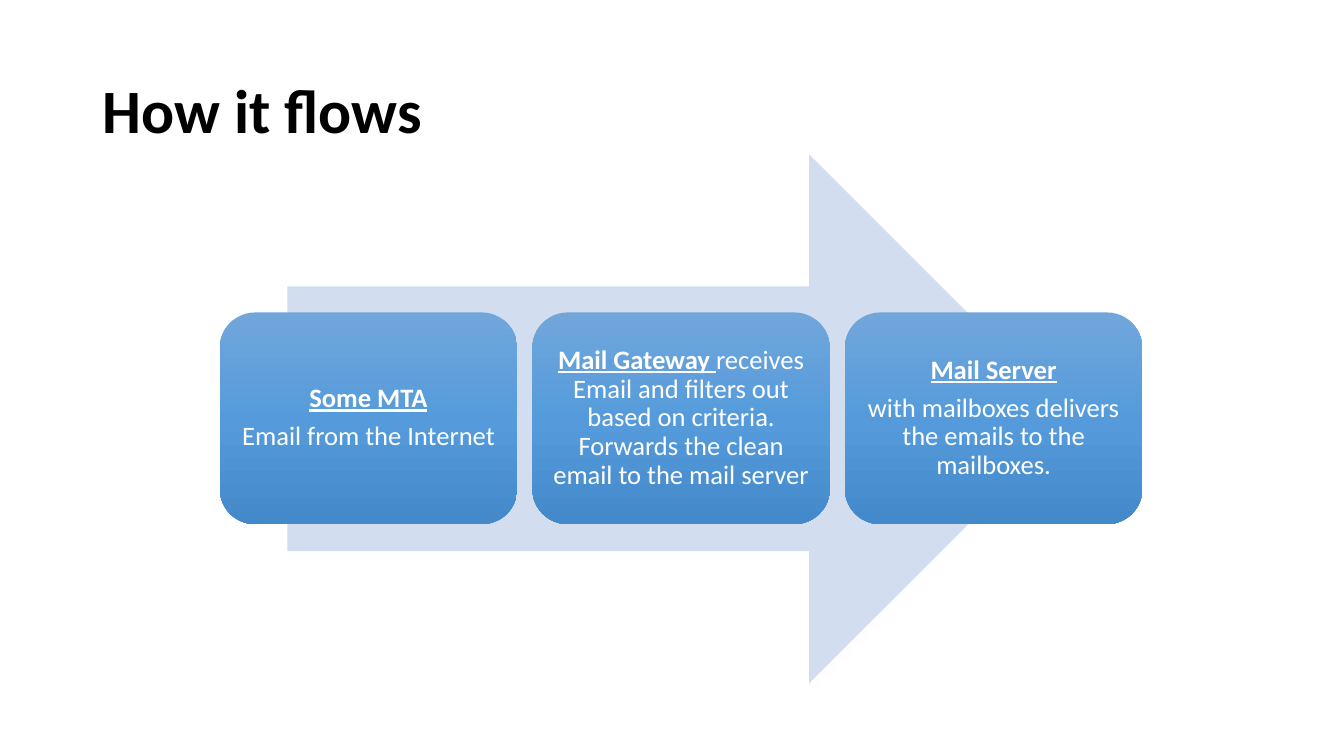
from copy import deepcopy
from pptx import Presentation
from pptx.dml.color import RGBColor
from pptx.enum.shapes import MSO_SHAPE
from pptx.enum.text import MSO_ANCHOR, PP_ALIGN
from pptx.oxml.ns import qn
from pptx.util import Inches, Pt

TITLE = "How it flows"
STAGES = [
    [[("Some MTA", True)], [("Email from the Internet", False)]],
    [[("Mail Gateway ", True),
      ("receives Email and filters out based on criteria. "
       "Forwards the clean email to the mail server", False)]],
    [[("Mail Server", True)],
     [("with mailboxes delivers the emails to the mailboxes.", False)]],
]

THEME = {
    "font": "Calibri",
    "title": {"size": Pt(44), "color": "000000"},
    "stage": {"size": Pt(19), "color": "FFFFFF"},
    "arrow": "D2DEEF",
    "gradient": [(0, "71A6DB"), (0.5, "559BDB"), (1, "448ACA")],
}
TITLE_BOX = (0.92, 0.4, 11.5, 1.45)
ARROW_BOX = (2.85, 1.53, 7.8, 5.25)
STAGE_LEFT, STAGE_TOP, STAGE_W, STAGE_H, GAP = 2.18, 3.1, 2.95, 2.1, 0.15
INSET = Inches(0.08)


def set_all(target, values):
    for name, value in values.items():
        setattr(target, name, value)


def add_run(p, text, style, bold, underline=False):
    r = p.add_run()
    r.text = text
    set_all(r.font, {"name": THEME["font"], "size": style["size"],
                     "bold": bold, "underline": underline})
    r.font.color.rgb = RGBColor.from_string(style["color"])


def add_plain_shape(s, kind, box):
    sp = s.shapes.add_shape(kind, *map(Inches, box))
    sp.shadow.inherit = False
    sp.line.fill.background()
    return sp


def fill_gradient(sp):
    sp.fill.gradient()
    sp.fill.gradient_angle = 270
    stop_list = sp._element.spPr.find(qn("a:gradFill")).find(qn("a:gsLst"))
    stop_list.insert(1, deepcopy(stop_list[0]))
    for stop, (position, color) in zip(sp.fill.gradient_stops, THEME["gradient"]):
        stop.position = position
        stop.color.rgb = RGBColor.from_string(color)


def add_title(s):
    title = s.shapes.title
    set_all(title, dict(zip(("left", "top", "width", "height"),
                            map(Inches, TITLE_BOX))))
    set_all(title.text_frame, {"vertical_anchor": MSO_ANCHOR.MIDDLE, "word_wrap": True})
    p = title.text_frame.paragraphs[0]
    set_all(p, {"alignment": PP_ALIGN.LEFT, "line_spacing": 0.9})
    add_run(p, TITLE, THEME["title"], True)


def add_stage(s, index, paragraphs):
    left = STAGE_LEFT + index * (STAGE_W + GAP)
    sp = add_plain_shape(s, MSO_SHAPE.ROUNDED_RECTANGLE,
                         (left, STAGE_TOP, STAGE_W, STAGE_H))
    fill_gradient(sp)
    tf = sp.text_frame
    set_all(tf, {"word_wrap": True, "vertical_anchor": MSO_ANCHOR.MIDDLE,
                 "margin_left": INSET, "margin_right": INSET,
                 "margin_top": INSET, "margin_bottom": INSET})
    for i, runs in enumerate(paragraphs):
        p = tf.add_paragraph() if i else tf.paragraphs[0]
        set_all(p, {"alignment": PP_ALIGN.CENTER, "line_spacing": 0.9,
                    "space_after": Pt(6.65)})
        for text, heading in runs:
            add_run(p, text, THEME["stage"], heading, heading)


def main():
    prs = Presentation()
    set_all(prs, {"slide_width": Inches(13.33), "slide_height": Inches(7.5)})
    s = prs.slides.add_slide(prs.slide_layouts[5])
    add_title(s)
    arrow = add_plain_shape(s, MSO_SHAPE.RIGHT_ARROW, ARROW_BOX)
    arrow.fill.solid()
    arrow.fill.fore_color.rgb = RGBColor.from_string(THEME["arrow"])
    for index, paragraphs in enumerate(STAGES):
        add_stage(s, index, paragraphs)
    prs.save("out.pptx")


if __name__ == "__main__":
    main()
